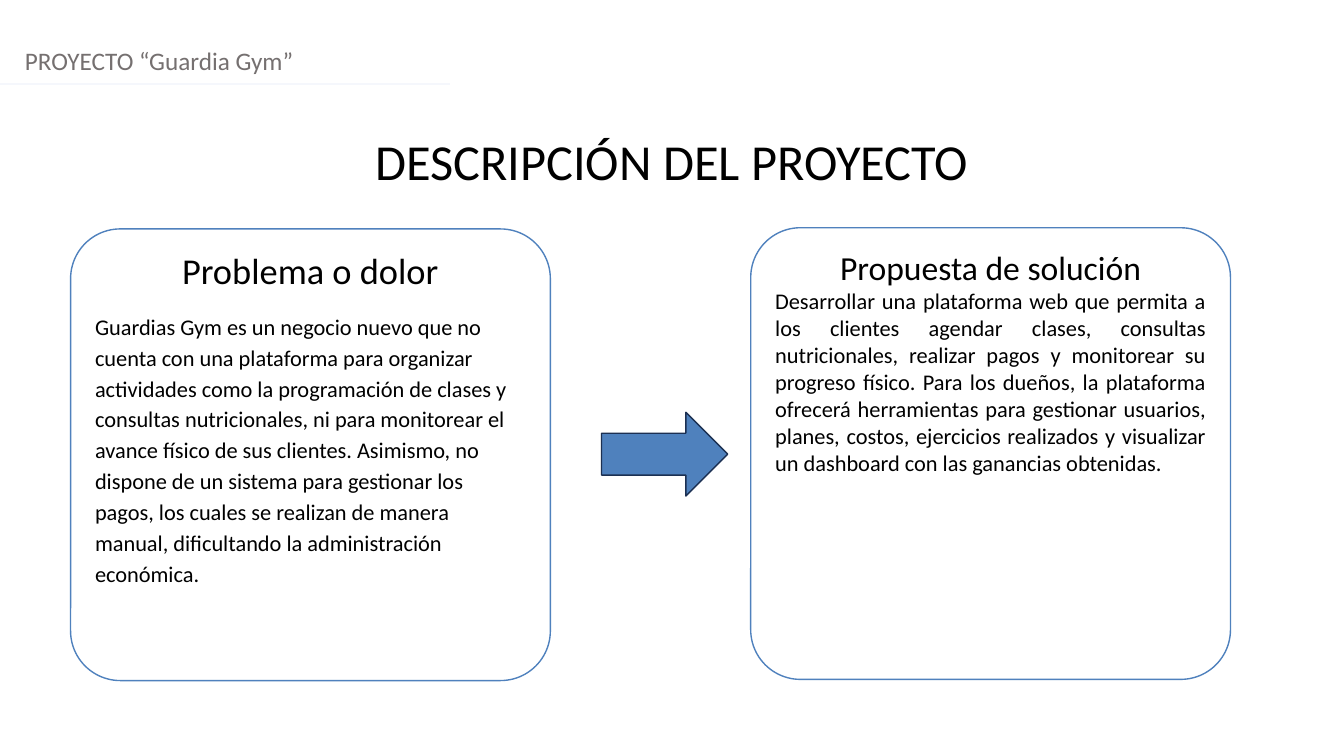
from lxml.etree import SubElement
from pptx import Presentation
from pptx.dml.color import RGBColor
from pptx.enum.shapes import MSO_CONNECTOR, MSO_SHAPE
from pptx.enum.text import MSO_ANCHOR, MSO_AUTO_SIZE, PP_ALIGN
from pptx.oxml.ns import qn
from pptx.util import Cm, Pt

WIDE = 33.87


def paint(form, color):
    """Set a solid colour on a fill or a font."""
    if hasattr(form, "solid"):
        form.solid()
        form.fore_color.rgb = RGBColor.from_string(color)
    else:
        form.color.rgb = RGBColor.from_string(color)


def write(para, text, size, color="000000", align=PP_ALIGN.LEFT, lines=None, before=None):
    para.alignment = align
    para.line_spacing = lines
    para.space_before = before
    run = para.add_run()
    run.text = text
    run.font.name = "Calibri"
    run.font.size = Pt(size)
    paint(run.font, color)


deck = Presentation()
deck.slide_width, deck.slide_height = Cm(WIDE), Cm(19.05)
slide = deck.slides.add_slide(deck.slide_layouts[6])
shapes = slide.shapes

# Header and title
heads = [
    (0.38, 1.02, 1.02, "PROYECTO “Guardia Gym”", 18, "757070", PP_ALIGN.LEFT),
    (0, 3.15, 1.8, "DESCRIPCIÓN DEL PROYECTO", 36, "000000", PP_ALIGN.CENTER),
]
for left, top, high, text, size, color, align in heads:
    box = shapes.add_textbox(Cm(left), Cm(top), Cm(WIDE - left), Cm(high))
    box.text_frame.word_wrap = True
    box.text_frame.auto_size = MSO_AUTO_SIZE.SHAPE_TO_FIT_TEXT
    write(box.text_frame.paragraphs[0], text, size, color, align)

rule = shapes.add_connector(MSO_CONNECTOR.STRAIGHT, 0, Cm(2.11), Cm(11.35), Cm(2.11))
rule.line.width = Pt(1.25)
paint(rule.line.fill, "F5F7FC")
SubElement(rule._element.spPr, qn("a:effectLst"))

# Problem and solution cards
cards = [
    (1.78, 5.77, "Problema o dolor", 26,
     "Guardias Gym es un negocio nuevo que no cuenta con una plataforma para organizar "
     "actividades como la programación de clases y consultas nutricionales, ni para "
     "monitorear el avance físico de sus clientes. Asimismo, no dispone de un sistema "
     "para gestionar los pagos, los cuales se realizan de manera manual, dificultando "
     "la administración económica.",
     {"lines": 1.15, "before": Pt(12)}),
    (18.92, 5.74, "Propuesta de solución", 24,
     "Desarrollar una plataforma web que permita a los clientes agendar clases, "
     "consultas nutricionales, realizar pagos y monitorear su progreso físico. Para "
     "los dueños, la plataforma ofrecerá herramientas para gestionar usuarios, planes, "
     "costos, ejercicios realizados y visualizar un dashboard con las ganancias obtenidas.",
     {"align": PP_ALIGN.JUSTIFY}),
]
for left, top, title, size, body, style in cards:
    card = shapes.add_shape(
        MSO_SHAPE.ROUNDED_RECTANGLE, Cm(left), Cm(top), Cm(12.09), Cm(11.38))
    card.adjustments[0] = 0.11
    card.shadow.inherit = False
    paint(card.fill, "FFFFFF")
    paint(card.line.fill, "4F81BD")
    card.line.width = Pt(1)
    frame = card.text_frame
    frame.word_wrap = True
    frame.vertical_anchor = MSO_ANCHOR.TOP
    write(frame.paragraphs[0], title, size, align=PP_ALIGN.CENTER)
    write(frame.add_paragraph(), body, 16, **style)

arrow = shapes.add_shape(
    MSO_SHAPE.RIGHT_ARROW, Cm(15.16), Cm(10.39), Cm(3.18), Cm(2.11))
arrow.shadow.inherit = False
paint(arrow.fill, "4F81BD")
paint(arrow.line.fill, "1C3052")
arrow.line.width = Pt(1)

deck.save("out.pptx")
